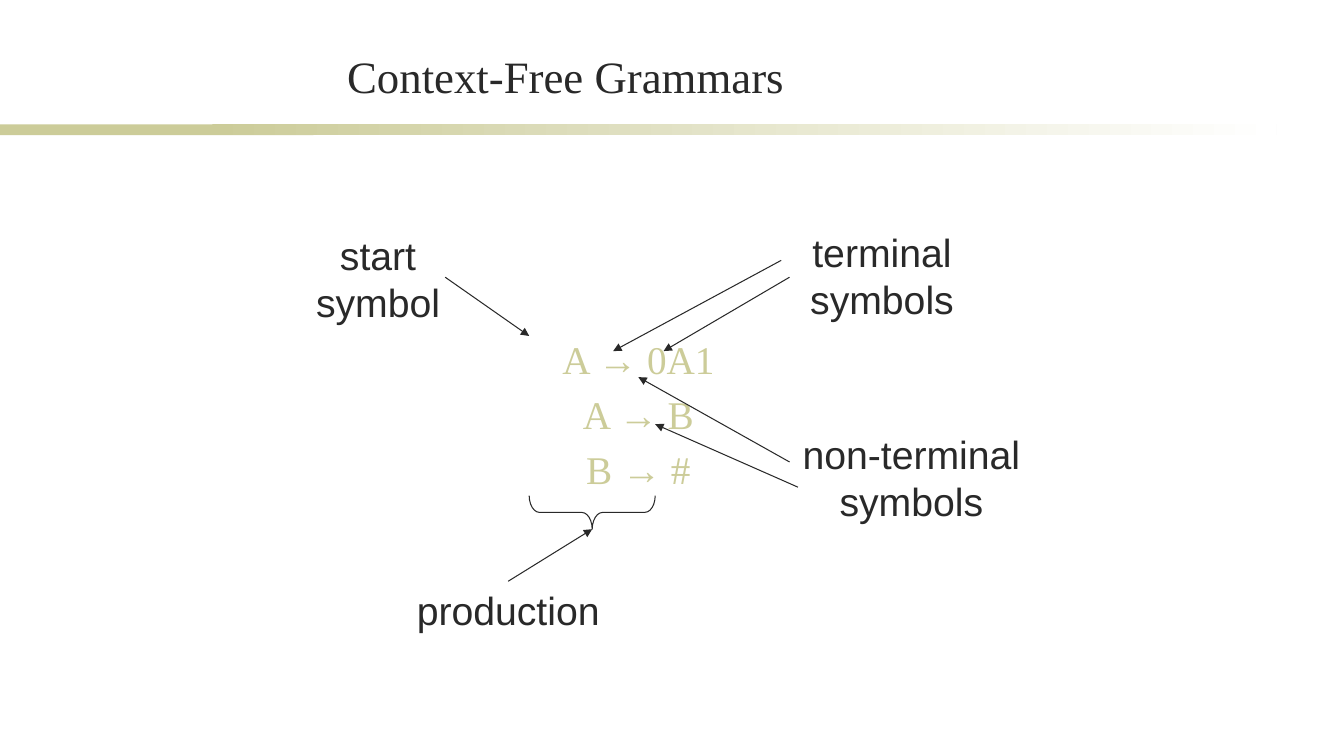
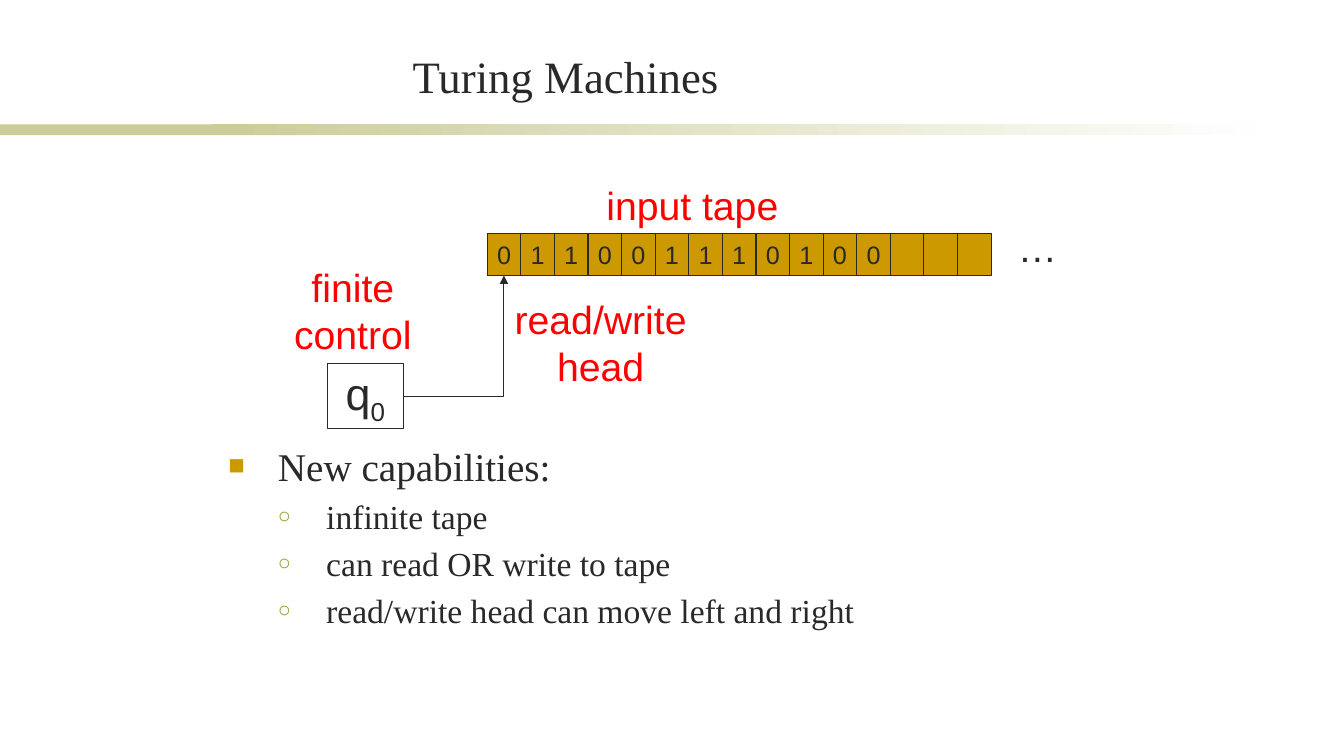
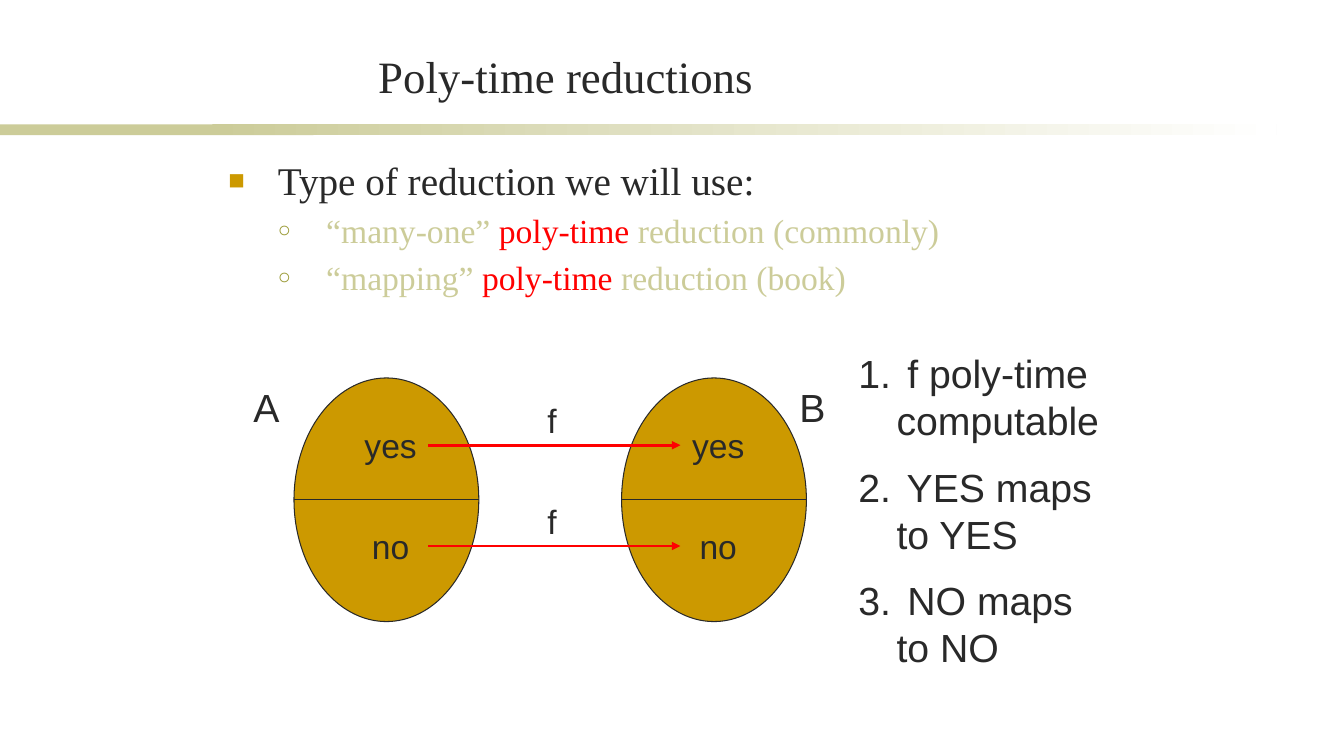
from dataclasses import dataclass

from lxml.etree import SubElement
from pptx import Presentation
from pptx.dml.color import RGBColor
from pptx.enum.shapes import MSO_CONNECTOR as CONN, MSO_SHAPE as SHAPE
from pptx.enum.text import MSO_ANCHOR as ANCHOR, MSO_AUTO_SIZE as FIT, PP_ALIGN as ALIGN
from pptx.oxml.ns import qn
from pptx.util import Emu, Inches, Pt

UNIT = Inches(1) // 12
COLS, ROWS = 160, 90


@dataclass(frozen=True)
class Theme:
    ink: str = "292929"
    sand: str = "CCCC99"
    gold: str = "CC9900"
    olive: str = "999933"
    red: str = "FF0000"
    white: str = "FFFFFF"
    serif: str = "Times New Roman"
    sans: str = "Arial"
    title: int = 32
    large: int = 28
    medium: int = 24
    small: int = 18
    leading: float = 1.2
    hair: float = 0.75
    bold_line: float = 2


T = Theme()


@dataclass(frozen=True)
class Box:
    x: float
    y: float
    w: float
    h: float

    def sub(self, x, y, w, h):
        return Box(self.x + x, self.y + y, w, h)

    def point(self, x, y):
        return self.x + x, self.y + y

    def emu(self):
        return [Emu(round(v * UNIT)) for v in (self.x, self.y, self.w, self.h)]


def rgb(color):
    return RGBColor.from_string(color)


def place(sp, box):
    sp.left, sp.top, sp.width, sp.height = box.emu()


def set_bullet(p, kind=None, color=None, share=100):
    pPr = p._p.get_or_add_pPr()
    if color:
        SubElement(SubElement(pPr, qn("a:buClr")), qn("a:srgbClr"), val=color)
        SubElement(pPr, qn("a:buSzPct"), val=str(share * 1000))
    if kind is None:
        SubElement(pPr, qn("a:buNone"))
    elif kind == "number":
        SubElement(pPr, qn("a:buAutoNum"), type="arabicPeriod")
    else:
        SubElement(pPr, qn("a:buChar"), char=kind)


def write(tf, text, *, size=T.large, font=T.sans, color=T.ink, align=ALIGN.CENTER,
          gap=0.5, level=0, indent=None, bullet=(), lines=True):
    first = not tf.text
    p = tf.paragraphs[0] if first else tf.add_paragraph()
    p.alignment, p.level = align, level
    p.space_before = Pt(0 if first else size * gap)
    if lines:
        p.line_spacing = Pt(size * T.leading)
    if indent:
        pPr = p._p.get_or_add_pPr()
        pPr.set("marL", str(Inches(indent[0])))
        pPr.set("indent", str(Inches(indent[1])))
    set_bullet(p, *bullet)
    for part in [text] if isinstance(text, str) else text:
        words, tint, base = (part, color, 0) if isinstance(part, str) else part
        r = p.add_run()
        r.text = words
        r.font.size, r.font.name = Pt(size), font
        r.font.color.rgb = rgb(tint)
        if base:
            r._r.get_or_add_rPr().set("baseline", str(base * 1000))
    return p


def label(s, box, text, **fmt):
    sp = s.shapes.add_textbox(*box.emu())
    tf = sp.text_frame
    tf.word_wrap, tf.auto_size = True, FIT.NONE
    for line in [text] if isinstance(text, str) else text:
        write(tf, line, **{"lines": box.h > 7, **fmt})
    return sp


def shape(s, kind, box, fill=None, line=T.ink):
    sp = s.shapes.add_shape(kind, *box.emu())
    sp.shadow.inherit = False
    if fill:
        sp.fill.solid()
        sp.fill.fore_color.rgb = rgb(fill)
    else:
        sp.fill.background()
    if line:
        sp.line.color.rgb, sp.line.width = rgb(line), Pt(T.hair)
    else:
        sp.line.fill.background()
    return sp


def connect(s, start=(0, 0), end=(0, 0), *, begin_at=None, end_at=None,
            color=T.ink, width=T.hair, arrow=True, kind=CONN.STRAIGHT):
    c = s.shapes.add_connector(kind, *(Emu(round(v * UNIT)) for v in (*start, *end)))
    if begin_at:
        c.begin_connect(*begin_at)
    if end_at:
        c.end_connect(*end_at)
    c.line.color.rgb, c.line.width = rgb(color), Pt(width)
    spPr = c.element.spPr
    if arrow:
        SubElement(spPr.find(qn("a:ln")), qn("a:tailEnd"), type="triangle")
    SubElement(spPr, qn("a:effectLst"))
    return c


def add_bands(layout, s):
    plain = shape(s, SHAPE.RECTANGLE, Box(0, 14.8, 37.3, 1.3), T.sand, None)
    fade = shape(s, SHAPE.RECTANGLE, Box(25.3, 14.8, 126.7, 1.3), T.sand, None)
    fade.fill.gradient()
    fade.fill.gradient_angle = 0
    for stop, color, position in zip(fade.fill.gradient_stops, (T.sand, T.white), (0, 1)):
        stop.color.rgb, stop.position = rgb(color), position
    for i, band in enumerate((plain, fade)):
        layout.shapes.element.insert(2 + i, band.element)


def new_slide(prs, title, body_box):
    s = prs.slides.add_slide(prs.slide_layouts[1])
    head, body = s.placeholders
    place(head, Box(18.2, 5.3, 98.3, 7.5))
    place(body, body_box)
    for sp, anchor in ((head, ANCHOR.BOTTOM), (body, ANCHOR.TOP)):
        sp.text_frame.auto_size = FIT.NONE
        sp.text_frame.vertical_anchor = anchor
    write(head.text_frame, title, size=T.title, font=T.serif, lines=False)
    return s, body.text_frame


def outline(tf, heading, items, color=T.ink):
    write(tf, heading, font=T.serif, align=ALIGN.LEFT, indent=(0.49, -0.49),
          bullet=("■", T.gold, 70), lines=False)
    for item in items:
        write(tf, item, size=T.medium, font=T.serif, color=color, align=ALIGN.LEFT,
              gap=0.2, level=1, indent=(0.97, -0.48), bullet=("○", T.olive, 65))


def grammar_diagram(s, box):
    label(s, box.sub(0, 1, 20, 12.4), "start symbol")
    label(s, box.sub(60, 0.6, 20, 12.4), "terminal symbols")
    label(s, box.sub(58, 24.6, 31, 12.4), "non-terminal symbols")
    production = label(s, box.sub(10, 43.2, 31, 6.8), "production")
    for start, end in (((18, 7), (28, 14)),
                       ((58, 5), (38, 15.8)), ((59, 7), (44, 15.8)),
                       ((60, 32), (43, 24.5)), ((59, 29), (41, 18.9))):
        connect(s, box.point(*start), box.point(*end))
    brace = shape(s, SHAPE.LEFT_BRACE, box.sub(33.5, 27.5, 4, 15))
    brace.rotation = 270
    brace.adjustments[0] = 0.31
    connect(s, end=box.point(35.5, 37), begin_at=(production, 0))


def tape(s, box, symbols, count):
    step = box.w / count
    cells = []
    for i in range(count):
        cell = shape(s, SHAPE.RECTANGLE, box.sub(i * step, 0, step, box.h), T.gold)
        tf = cell.text_frame
        tf.margin_left = tf.margin_right = 0
        if i < len(symbols):
            write(tf, symbols[i], size=T.small, lines=False)
        cells.append(cell)
    return cells


def turing_machine(s, box):
    cells = tape(s, box.sub(27, 6.8, 60, 5), "011001110100", 15)
    state = shape(s, SHAPE.RECTANGLE, box.sub(8, 22.3, 9, 7.7))
    write(state.text_frame, ["q", ("0", T.ink, -25)], size=T.title, lines=False)
    label(s, box.sub(40, 0, 28, 6.8), "input tape", color=T.red, align=ALIGN.LEFT)
    label(s, box.sub(0, 9.7, 22, 12.4), "finite control", color=T.red)
    label(s, box.sub(28, 13.6, 25, 12.4), "read/write head", color=T.red)
    label(s, box.sub(89, 5, 9, 6.8), "…", align=ALIGN.LEFT)
    head = connect(s, begin_at=(state, 3), end_at=(cells[0], 2), kind=CONN.ELBOW)
    head.element.spPr.find(qn("a:prstGeom")).set("prst", "bentConnector2")


def language(s, box):
    shape(s, SHAPE.OVAL, box, T.gold)
    middle = box.h / 2
    connect(s, box.point(0, middle), box.point(box.w, middle), arrow=False)
    return [label(s, box.sub(7, y, 9, 6), answer, size=T.medium)
            for answer, y in (("yes", 5), ("no", 17))]


def reduction_map(s, box):
    sources, targets = [language(s, box.sub(x, 0, 22, box.h)) for x in (6, 45)]
    for i, (source, target) in enumerate(zip(sources, targets)):
        connect(s, begin_at=(source, 3), end_at=(target, 1),
                color=T.red, width=T.bold_line)
        label(s, box.sub(35, 2 + 12 * i, 7, 6), "f", size=T.medium, align=ALIGN.LEFT)
    for name, x in (("A", 0), ("B", 65)):
        label(s, box.sub(x, 0, 7, 6.8), name, align=ALIGN.LEFT)


def grammars_slide(prs):
    s, tf = new_slide(prs, "Context-Free Grammars", Box(61, 39.3, 30, 24))
    for rule in ("A → 0A1", "A → B", "B → #"):
        write(tf, rule, font=T.serif, color=T.sand, gap=0.2, indent=(0, 0))
    grammar_diagram(s, Box(35, 26, 90, 50))
    return s


def turing_slide(prs):
    s, tf = new_slide(prs, "Turing Machines", Box(26, 52, 108, 33))
    outline(tf, "New capabilities:",
            ("infinite tape", "can read OR write to tape",
             "read/write head can move left and right"))
    turing_machine(s, Box(31, 21, 98, 30))


def reductions_slide(prs):
    s, tf = new_slide(prs, "Poly-time reductions", Box(26, 18, 108, 22))
    outline(tf, "Type of reduction we will use:",
            [[f"“{name}” ", ("poly-time", T.red, 0), f" reduction ({use})"]
             for name, use in (("many-one", "commonly"), ("mapping", "book"))],
            color=T.sand)
    reduction_map(s, Box(29, 45, 72, 29))
    label(s, Box(101, 41, 33, 40.4),
          (" f poly-time computable", " YES maps to YES", " NO maps to NO"),
          align=ALIGN.LEFT, indent=(0.38, -0.38), bullet=("number",))


def main():
    prs = Presentation()
    prs.slide_width, prs.slide_height = Emu(COLS * UNIT), Emu(ROWS * UNIT)
    s = grammars_slide(prs)
    add_bands(s.slide_layout, s)
    turing_slide(prs)
    reductions_slide(prs)
    prs.save("out.pptx")


if __name__ == "__main__":
    main()
